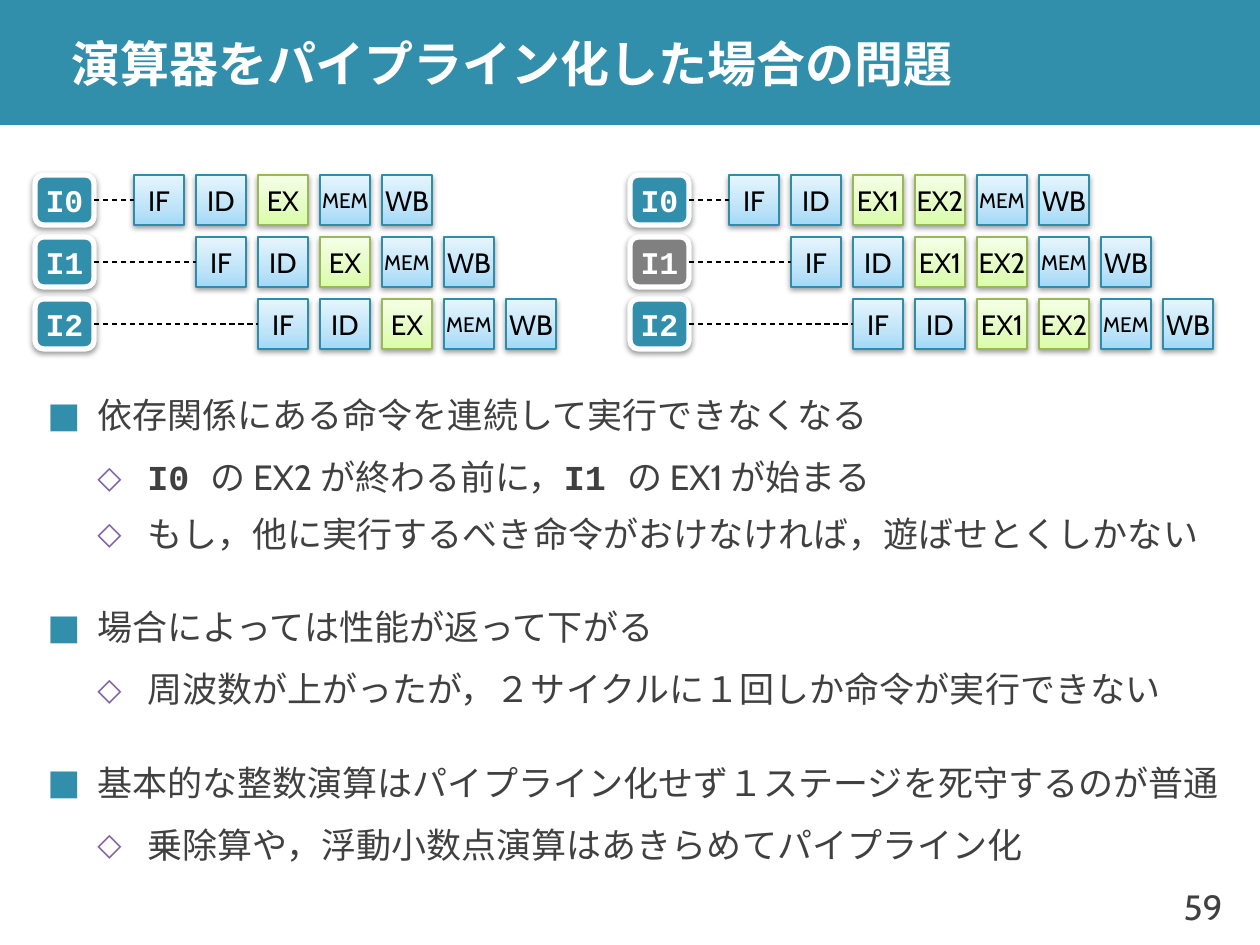
from dataclasses import dataclass

from lxml.etree import SubElement
from pptx import Presentation
from pptx.dml.color import RGBColor
from pptx.enum.dml import MSO_LINE
from pptx.enum.shapes import MSO_CONNECTOR, MSO_SHAPE
from pptx.enum.text import MSO_ANCHOR, PP_ALIGN
from pptx.oxml import parse_xml
from pptx.oxml.ns import nsdecls, qn
from pptx.util import Emu, Pt

SCALE = 914400 / 126  # EMU in one px


def px(n):
    return Emu(round(n * SCALE))


@dataclass(frozen=True)
class Theme:
    teal: str = "328FAC"
    gray: str = "808080"
    white: str = "FFFFFF"
    black: str = "000000"
    ink: str = "404040"
    mauve: str = "8064A2"
    # Each stage look: line colour, then stops from bottom to top
    blue: tuple = ("2E8DAB", "A2D9F7", "BFE4F8", "E6F5FD")
    green: tuple = ("98B955", "DAFDA7", "E4FCC2", "F5FFE7")
    stops: tuple = (0, 35, 100)
    sans: str = "Cabin"
    mono: str = "Courier New"
    kanji: str = "Noto Sans CJK JP"
    head: int = 28
    body: int = 20
    label: int = 18
    stage: int = 16
    small: int = 12


class Deck:
    def __init__(self, theme):
        self.theme = theme
        self.file = Presentation()
        self.file.slide_width, self.file.slide_height = px(1260), px(945)
        self.slide = self.file.slides.add_slide(self.file.slide_layouts[6])
        self.shapes = self.slide.shapes

    def style(self, run, size, color, face=None, bold=False):
        font = run.font
        font.name, font.size, font.bold = face or self.theme.sans, Pt(size), bold
        font.color.rgb = RGBColor.from_string(color)
        east = SubElement(font._element, qn("a:ea"))
        east.set("typeface", self.theme.kanji)

    def fill_text(self, shape, text, align, *look, wrap=False):
        frame = shape.text_frame
        frame.text = text
        frame.word_wrap = wrap
        frame.vertical_anchor = MSO_ANCHOR.MIDDLE
        frame.paragraphs[0].alignment = align
        self.style(frame.paragraphs[0].runs[0], *look)
        return frame

    def shape(self, kind, box, fill=None, line=None, width=0.75):
        item = self.shapes.add_shape(kind, *map(px, box))
        item.shadow.inherit = False
        if fill:
            item.fill.solid()
            item.fill.fore_color.rgb = RGBColor.from_string(fill)
        if line:
            item.line.color.rgb = RGBColor.from_string(line)
            item.line.width = Pt(width)
        else:
            item.line.fill.background()
        return item

    def text(self, box, text, align, *look):
        item = self.shapes.add_textbox(*map(px, box))
        return self.fill_text(item, text, align, *look, wrap=True)

    def shade(self, item):
        effect = item._element.spPr.find(qn("a:effectLst"))
        effect.append(parse_xml(
            f'<a:outerShdw {nsdecls("a")} blurRad="40000" dist="20000" dir="5400000" '
            f'rotWithShape="0"><a:srgbClr val="{self.theme.black}">'
            '<a:alpha val="38000"/></a:srgbClr></a:outerShdw>'))

    def stage(self, box, name):
        theme = self.theme
        line, *tones = theme.green if name.startswith("EX") else theme.blue
        item = self.shape(MSO_SHAPE.RECTANGLE, box, line=line)
        stops = "".join(
            f'<a:gs pos="{pos * 1000}"><a:srgbClr val="{tone}"/></a:gs>'
            for pos, tone in zip(theme.stops, tones))
        item._element.spPr.find(qn("a:prstGeom")).addnext(parse_xml(
            f'<a:gradFill {nsdecls("a")} rotWithShape="1"><a:gsLst>{stops}</a:gsLst>'
            '<a:lin ang="16200000" scaled="0"/></a:gradFill>'))
        self.shade(item)
        size = theme.small if name == "MEM" else theme.stage
        self.fill_text(item, name, PP_ALIGN.CENTER, size, theme.black)
        return item

    def label(self, box, name, fill):
        theme = self.theme
        item = self.shape(MSO_SHAPE.ROUNDED_RECTANGLE, box, fill, theme.white, 3)
        self.shade(item)
        self.fill_text(item, name, PP_ALIGN.CENTER, theme.label, theme.white, theme.mono, True)
        return item

    def link(self, start, end):
        line = self.shapes.add_connector(MSO_CONNECTOR.STRAIGHT, 0, 0, 0, 0)
        line.begin_connect(start, 3)
        line.end_connect(end, 1)
        line.line.color.rgb = RGBColor.from_string(self.theme.black)
        line.line.width = Pt(0.75)
        line.line.dash_style = MSO_LINE.DASH
        SubElement(line._element.spPr, qn("a:effectLst"))

    def bullet(self, par, level):
        theme = self.theme
        mark, color, size, before, after = (
            ("■", theme.teal, 100, 24, 6), ("◇", theme.mauve, 90, 3, 3))[level]
        par.level, par.line_spacing = level, 1.1
        par.space_before, par.space_after = Pt(before), Pt(after)
        props = par._p.get_or_add_pPr()
        props.set("marL", str(px(50 * (level + 1))))
        props.set("indent", str(px(-50)))
        tint = SubElement(props, qn("a:buClr"))
        SubElement(tint, qn("a:srgbClr")).set("val", color)
        SubElement(props, qn("a:buSzPct")).set("val", str(size * 1000))
        SubElement(props, qn("a:buFont")).set("typeface", theme.sans)
        SubElement(props, qn("a:buChar")).set("char", mark)

    def points(self, box, rows):
        theme = self.theme
        frame = self.shapes.add_textbox(*map(px, box)).text_frame
        frame.word_wrap = True
        frame.vertical_anchor = MSO_ANCHOR.MIDDLE
        for i, (level, *parts) in enumerate(rows):
            par = frame.add_paragraph() if i else frame.paragraphs[0]
            self.bullet(par, level)
            for part in parts:
                words, face, bold = part if isinstance(part, tuple) else (part, None, False)
                run = par.add_run()
                run.text = words
                self.style(run, theme.body, theme.ink, face, bold)


# Pipeline charts: left edge, stage names, label colours
SIDE, STEP, TOP = 50, 62, 175
MONO = Theme.mono
CHARTS = (
    (35, ("IF", "ID", "EX", "MEM", "WB"), (Theme.teal,) * 3),
    (630, ("IF", "ID", "EX1", "EX2", "MEM", "WB"), (Theme.teal, Theme.gray, Theme.teal)),
)
POINTS = (
    (0, "依存関係にある命令を連続して実行できなくなる"),
    (1, ("I0 ", MONO, True), "の EX2 が終わる前に，", ("I1 ", MONO, True),
     ("の ", MONO, False), "EX1 が始まる"),
    (1, "もし，他に実行するべき命令がおけなければ，遊ばせとくしかない"),
    (0, "場合によっては性能が返って下がる"),
    (1, "周波数が上がったが，２サイクルに１回しか命令が実行できない"),
    (0, "基本的な整数演算はパイプライン化せず１ステージを死守するのが普通"),
    (1, "乗除算や，浮動小数点演算はあきらめてパイプライン化"),
)


def main():
    theme = Theme()
    deck = Deck(theme)

    # Title band and page number
    deck.shape(MSO_SHAPE.RECTANGLE, (0, 0, 1260, 125), theme.teal)
    title = deck.text((59, 0, 1201, 125), "演算器をパイプライン化した場合の問題",
                      PP_ALIGN.LEFT, theme.head, theme.white, theme.sans, True)
    title.margin_top = title.margin_bottom = 0
    deck.text((1150, 869, 85, 76), "59", PP_ALIGN.RIGHT, theme.body, theme.ink)

    # Main points
    deck.points((35, 373, 1216, 509), POINTS)

    # Each instruction starts one step after the one above
    for left, names, fills in CHARTS:
        for row, fill in enumerate(fills):
            top = TOP + row * STEP
            start = left + 99 + row * STEP
            cells = [deck.stage((start + i * STEP, top, SIDE, SIDE), name)
                     for i, name in enumerate(names)]
            label = deck.label((left, top, 59, SIDE), f"I{row}", fill)
            deck.link(label, cells[0])

    deck.file.save("out.pptx")


if __name__ == "__main__":
    main()
